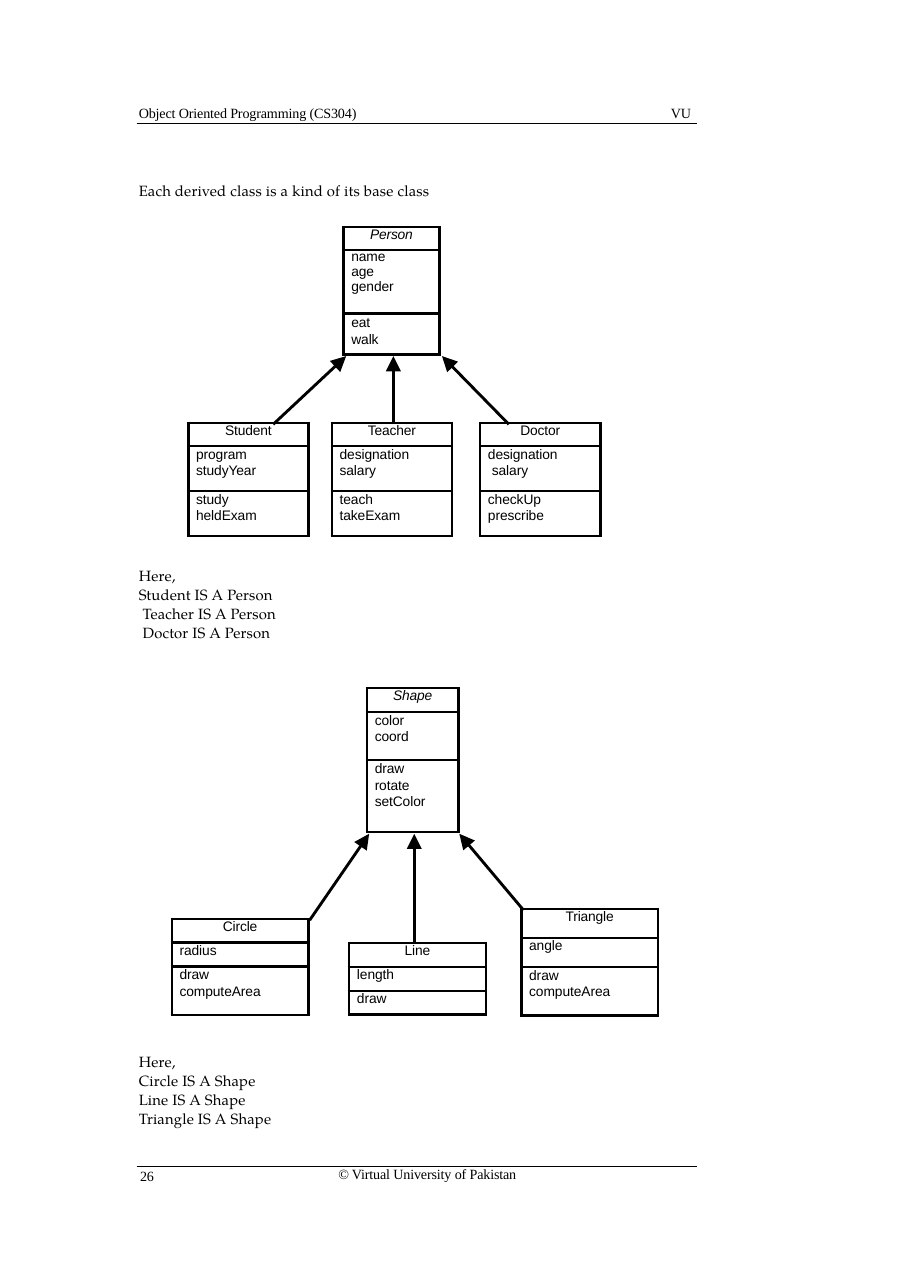
from dataclasses import dataclass

from lxml.etree import SubElement
from pptx import Presentation
from pptx.dml.color import RGBColor
from pptx.enum.shapes import MSO_CONNECTOR
from pptx.enum.text import PP_ALIGN
from pptx.oxml.ns import qn
from pptx.util import Cm, Pt

COLORS = {"ink": "000000"}
INK = RGBColor.from_string(COLORS["ink"])
SERIF, BODY, SANS = "Times New Roman", "TeX Gyre Pagella", "Arial"
BORDER = 1.88
SHIFT = 0.09
MARGIN_X, RULE_END = 3.15, 16.08
TEXT_X = 3.2


@dataclass
class ClassBox:
    name: str
    x: float
    y: float
    width: float
    rows: tuple
    attributes: list
    methods: list
    arrow: tuple = ()        # x at the derived class, x at the base class
    spacing: float = 10.7
    attribute_spacing: float = 10.7
    shifted: tuple = ()      # attribute lines set slightly to the right

    @property
    def bottom(self):
        return self.y + sum(self.rows)


CHILD_ROWS = (0.53, 1.04, 1.04)
PERSON = ClassBox("Person", 7.92, 5.23, 2.21, (0.53, 1.47, 0.94),
                  ["name", "age", "gender"], ["eat", "walk"],
                  spacing=10.9, attribute_spacing=9.6)
PERSON_KINDS = [
    ClassBox("Student", 4.34, 9.75, 2.77, CHILD_ROWS,
             ["program", "studyYear"], ["study", "heldExam"], (6.3, 7.98)),
    ClassBox("Teacher", 7.65, 9.75, 2.77, CHILD_ROWS,
             ["designation", "salary"], ["teach", "takeExam"], (9.07, 9.07)),
    ClassBox("Doctor", 11.07, 9.75, 2.77, CHILD_ROWS,
             ["designation", "salary"], ["checkUp", "prescribe"],
             (11.73, 10.19), shifted=(1,)),
]
SHAPE = ClassBox("Shape", 8.46, 15.86, 2.11, (0.55, 1.11, 1.66),
                 ["color", "coord"], ["draw", "rotate", "setColor"],
                 spacing=10.8, attribute_spacing=10.8)
SHAPE_KINDS = [
    ClassBox("Circle", 3.96, 21.18, 3.15, (0.55, 0.55, 1.12),
             ["radius"], ["draw", "computeArea"], (7.14, 8.51)),
    ClassBox("Line", 8.05, 21.74, 3.15, (0.55, 0.55, 0.55),
             ["length"], ["draw"], (9.55, 9.55)),
    ClassBox("Triangle", 12.02, 20.95, 3.15, (0.67, 0.67, 1.12),
             ["angle"], ["draw", "computeArea"], (12.07, 10.59)),
]


def write(tf, lines, font, size, tracking, spacing=None, align=PP_ALIGN.LEFT,
          italic=False, shifted=()):
    """Set one paragraph per line; tracking is in hundredths of a point."""
    for i, text in enumerate(lines):
        p = tf.paragraphs[0] if i == 0 else tf.add_paragraph()
        p.alignment = align
        if spacing and len(lines) > 1:
            p.line_spacing = Pt(spacing)
        if i in shifted:
            p._p.get_or_add_pPr().set("marL", str(Cm(SHIFT)))
        p.font.name, p.font.size = font, Pt(size)
        p.font.italic = italic
        p.font.color.rgb = INK
        r = p.add_run()
        r.text = text
        r._r.get_or_add_rPr().set("spc", str(tracking))


def add_text(s, x, y, width, lines, font=SERIF, size=9.2, tracking=-10, **style):
    sp = s.shapes.add_textbox(Cm(x), Cm(y), Cm(width), Cm(0.44 * len(lines)))
    tf = sp.text_frame
    tf.word_wrap = True
    tf.margin_left = tf.margin_right = tf.margin_top = tf.margin_bottom = 0
    write(tf, lines, font, size, tracking, **style)


def add_body(s, y, lines, **style):
    add_text(s, TEXT_X, y, 9, lines, BODY, 9.7, 10, spacing=12.4, **style)


def add_line(s, x1, y1, x2, y2, width, arrow=False):
    c = s.shapes.add_connector(MSO_CONNECTOR.STRAIGHT,
                               Cm(x1), Cm(y1), Cm(x2), Cm(y2))
    c.line.color.rgb = INK
    c.line.width = Pt(width)
    if arrow:
        SubElement(c.line._get_or_add_ln(), qn("a:tailEnd"),
                   type="triangle", w="lg", len="lg")
    SubElement(c._element.spPr, qn("a:effectLst"))


def add_borders(cell):
    tcPr = cell._tc.get_or_add_tcPr()
    for side in ("lnL", "lnR", "lnT", "lnB"):
        ln = SubElement(tcPr, qn(f"a:{side}"), w=str(Pt(BORDER)))
        fill = SubElement(ln, qn("a:solidFill"))
        SubElement(fill, qn("a:srgbClr"), val=COLORS["ink"])


def add_class(s, box, is_base=False):
    table = s.shapes.add_table(3, 1, Cm(box.x), Cm(box.y), Cm(box.width),
                               Cm(sum(box.rows))).table
    table.first_row = table.horz_banding = False
    for row, height in zip(table.rows, box.rows):
        row.height = Cm(height)
        cell = row.cells[0]
        add_borders(cell)
        cell.fill.background()
        cell.margin_left = cell.margin_right = 0
        cell.margin_top = cell.margin_bottom = 0
    title, attributes, methods = (table.cell(i, 0) for i in range(3))
    attributes.margin_left = methods.margin_left = Cm(0.18)
    write(title.text_frame, [box.name], SANS, 9, -10,
          align=PP_ALIGN.CENTER, italic=is_base)
    write(attributes.text_frame, box.attributes, SANS, 9, -5,
          box.attribute_spacing, shifted=box.shifted)
    write(methods.text_frame, box.methods, SANS, 9, -5, box.spacing)


def add_hierarchy(s, base, kinds):
    add_class(s, base, is_base=True)
    for kind in kinds:
        add_class(s, kind)
        start, end = kind.arrow
        add_line(s, start, kind.y + 0.03, end, base.bottom + 0.04, BORDER,
                 arrow=True)


def main():
    prs = Presentation()
    prs.slide_width, prs.slide_height = Cm(20.98), Cm(29.69)
    s = prs.slides.add_slide(prs.slide_layouts[6])

    add_text(s, TEXT_X, 2.41, 6, ["Object Oriented Programming (CS304)"])
    add_text(s, 15.47, 2.41, 0.8, ["VU"])
    for y in (2.84, 26.9):
        add_line(s, MARGIN_X, y, RULE_END, y, 0.66)
    add_text(s, 7.8, 26.87, 5, ["© Virtual University of Pakistan"])
    add_text(s, 3.23, 26.9, 0.8, ["26"])

    add_body(s, 4.19, ["Each derived class is a kind of its base class"])
    add_hierarchy(s, PERSON, PERSON_KINDS)
    add_body(s, 13.03, ["Here,", "Student IS A Person", "Teacher IS A Person",
                        "Doctor IS A Person"], shifted=(2, 3))
    add_hierarchy(s, SHAPE, SHAPE_KINDS)
    add_body(s, 24.25, ["Here,", "Circle IS A Shape", "Line IS A Shape",
                        "Triangle IS A Shape"])
    prs.save("out.pptx")


if __name__ == "__main__":
    main()
